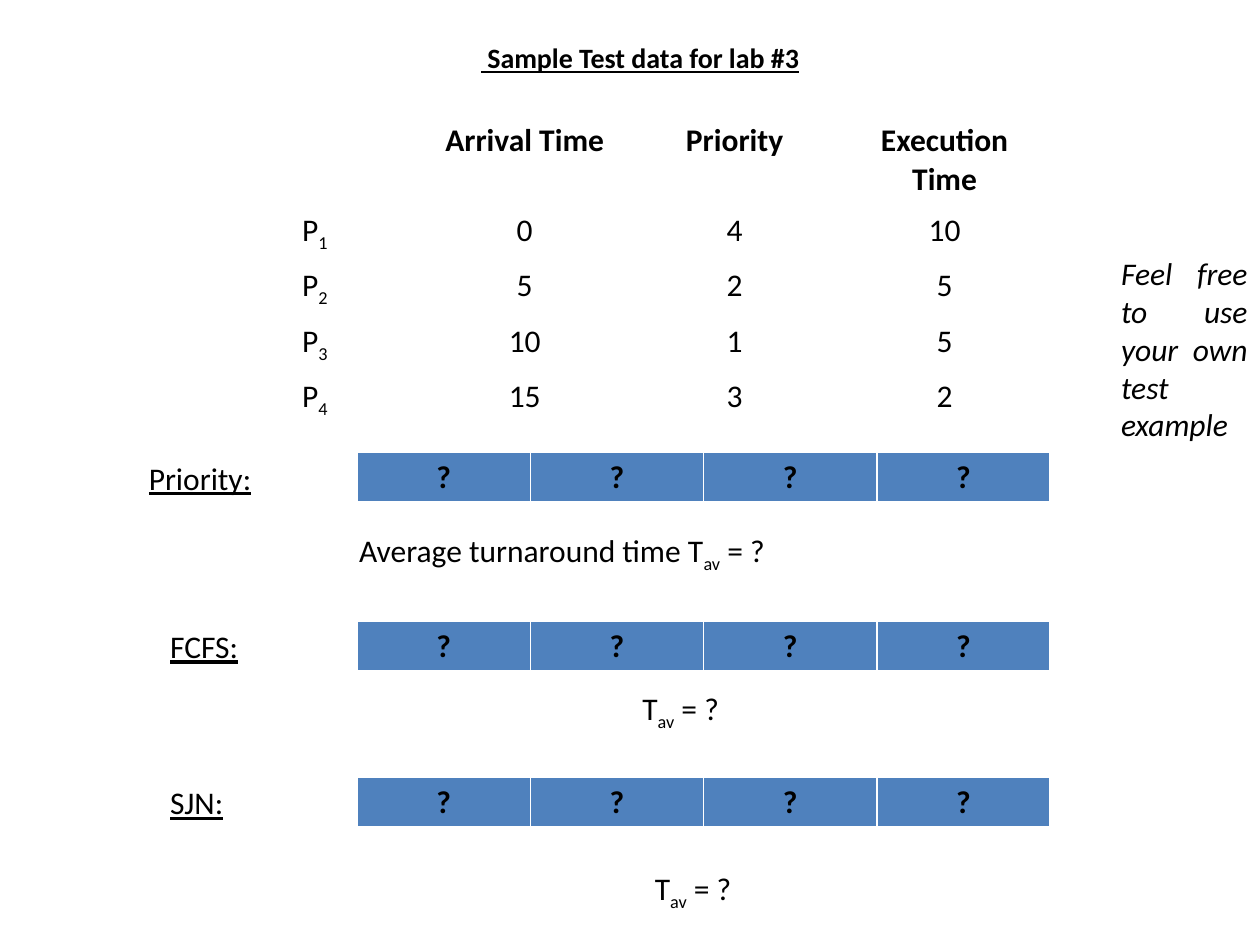
import pptx
import pptx.util
import pptx.dml.color
import pptx.enum.text
import pptx.oxml.ns
import lxml.etree

Cm, Pt = pptx.util.Cm, pptx.util.Pt
ALIGN = pptx.enum.text.PP_ALIGN
COLORS = {"text": "000000", "bar": "4F81BD", "border": "FFFFFF"}


class SlideBuilder:
    font = "Calibri"
    size = 18

    def __init__(self, slide):
        self.slide = slide

    def fill_text(self, tf, text, align=ALIGN.LEFT, size=None, bold=None,
                  italic=None, underline=None):
        """Fill a text frame; parts between underscores are subscripts."""
        p = tf.paragraphs[0]
        p.alignment = align
        for i, part in enumerate(text.split("_")):
            if not part:
                continue
            r = p.add_run()
            r.text = part
            r.font.name = self.font
            r.font.size = Pt(size or self.size)
            r.font.color.rgb = pptx.dml.color.RGBColor.from_string(COLORS["text"])
            r.font.bold, r.font.italic, r.font.underline = bold, italic, underline
            if i % 2:
                r._r.get_or_add_rPr().set("baseline", "-25000")

    def title(self, text, x, y, w, h):
        sp = self.slide.shapes.title
        sp.left, sp.top, sp.width, sp.height = Cm(x), Cm(y), Cm(w), Cm(h)
        sp.text_frame.vertical_anchor = pptx.enum.text.MSO_ANCHOR.MIDDLE
        self.fill_text(sp.text_frame, text, ALIGN.CENTER, 16, bold=True, underline=True)

    def text(self, text, x, y, w, h=1.03, wrap=False, align=ALIGN.LEFT, **style):
        tf = self.slide.shapes.add_textbox(Cm(x), Cm(y), Cm(w), Cm(h)).text_frame
        tf.word_wrap = wrap
        tf.auto_size = pptx.enum.text.MSO_AUTO_SIZE.SHAPE_TO_FIT_TEXT
        self.fill_text(tf, text, align, **style)

    def borders(self, cell, bottom):
        tcPr = cell._tc.get_or_add_tcPr()
        qn = pptx.oxml.ns.qn
        for i, (side, width) in enumerate(zip("LRTB", (1, 1, 1, bottom))):
            ln = lxml.etree.Element(qn(f"a:ln{side}"), w=str(Pt(width)))
            fill = lxml.etree.SubElement(ln, qn("a:solidFill"))
            lxml.etree.SubElement(fill, qn("a:srgbClr"), val=COLORS["border"])
            tcPr.insert(i, ln)

    def table(self, rows, x, y, w, row_h=1.03, fill=None):
        """Draw a table whose first row is bold."""
        frame = self.slide.shapes.add_table(
            len(rows), len(rows[0]), Cm(x), Cm(y), Cm(w), Cm(row_h * len(rows)))
        tbl = frame.table
        tbl.horz_banding = False
        for i, row in enumerate(rows):
            for j, text in enumerate(row):
                cell = tbl.cell(i, j)
                if fill:
                    cell.fill.solid()
                    cell.fill.fore_color.rgb = pptx.dml.color.RGBColor.from_string(COLORS[fill])
                else:
                    cell.fill.background()
                self.borders(cell, 1 if i else 3)
                self.fill_text(cell.text_frame, text, ALIGN.CENTER, bold=i == 0)


prs = pptx.Presentation()
prs.slide_width, prs.slide_height = Cm(25.4), Cm(19.05)
s = SlideBuilder(prs.slides.add_slide(prs.slide_layouts[5]))

# Title
s.title(" Sample Test data for lab #3", 2.11, 0.43, 21.59, 1.47)

# Process data
s.table([
    ["", "Arrival Time", "Priority", "Execution Time"],
    ["P_1", "0", "4", "10"],
    ["P_2", "5", "2", "5"],
    ["P_3", "10", "1", "5"],
    ["P_4", "15", "3", "2"],
], 4.23, 2.33, 16.93)

# Schedules: label, its left and width, bar top, result, its left, top and width
schedules = [
    ("Priority:", 2.75, 2.96, 9.12, "Average turnaround time T_av_ = ?", 6.99, 10.58, 8.79),
    ("FCFS:", 3.18, 1.9, 12.52, "T_av_ = ?", 12.7, 13.76, 2.08),
    ("SJN:", 3.18, 1.6, 15.67, "T_av_ = ?", 12.95, 17.4, 2.08),
]
for label, label_x, label_w, top, result, x, y, w in schedules:
    s.text(label, label_x, top, label_w, underline=True)
    s.table([["?"] * 4], 7.2, top, 13.97, fill="bar")
    s.text(result, x, y, w)

# Side note
s.text("Feel free to use your own test example", 22.35, 5, 3.05, 4.11,
       wrap=True, align=ALIGN.JUSTIFY, italic=True)

prs.save("out.pptx")
